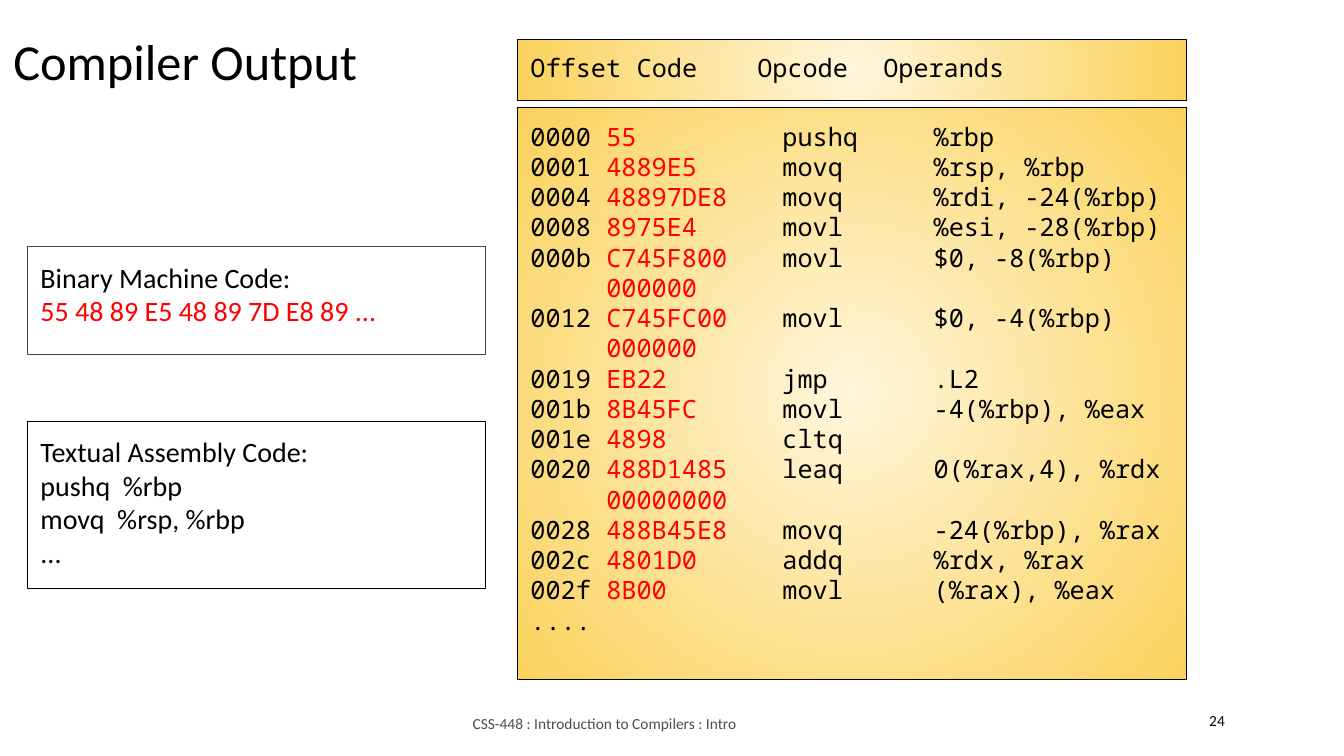
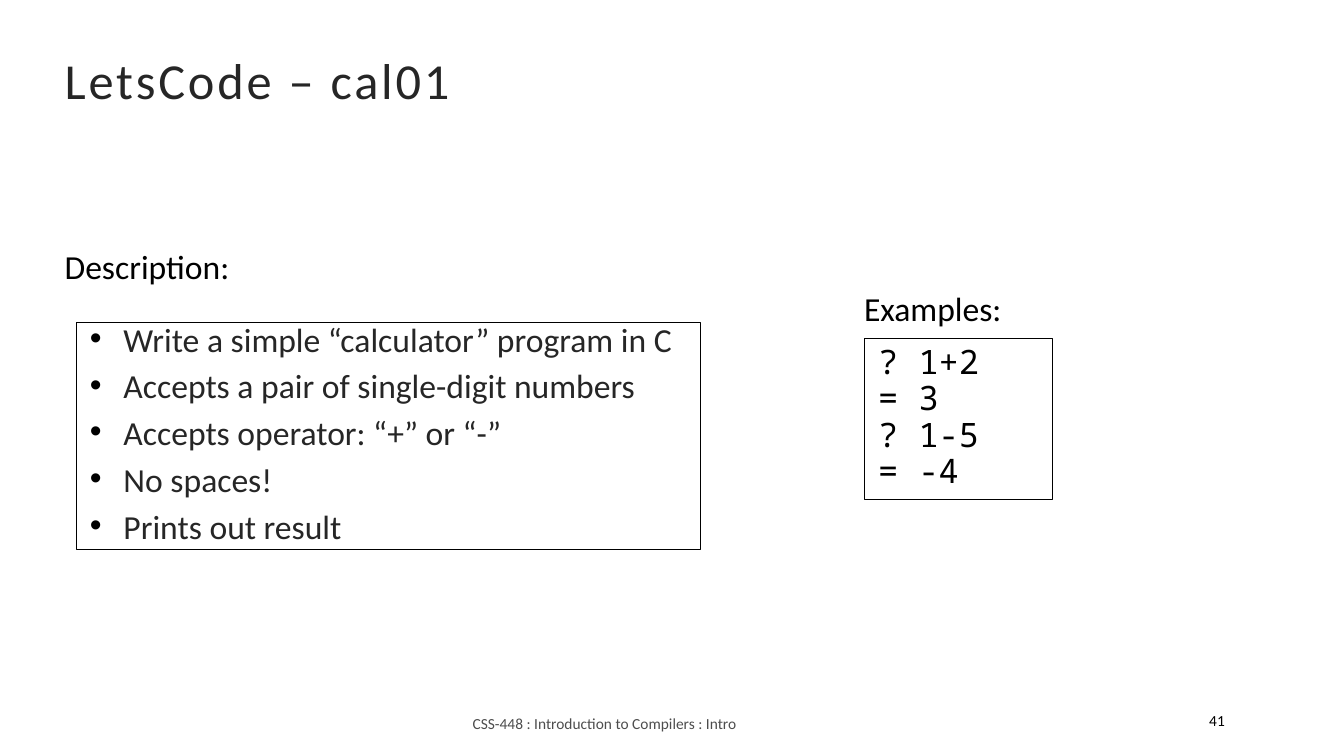
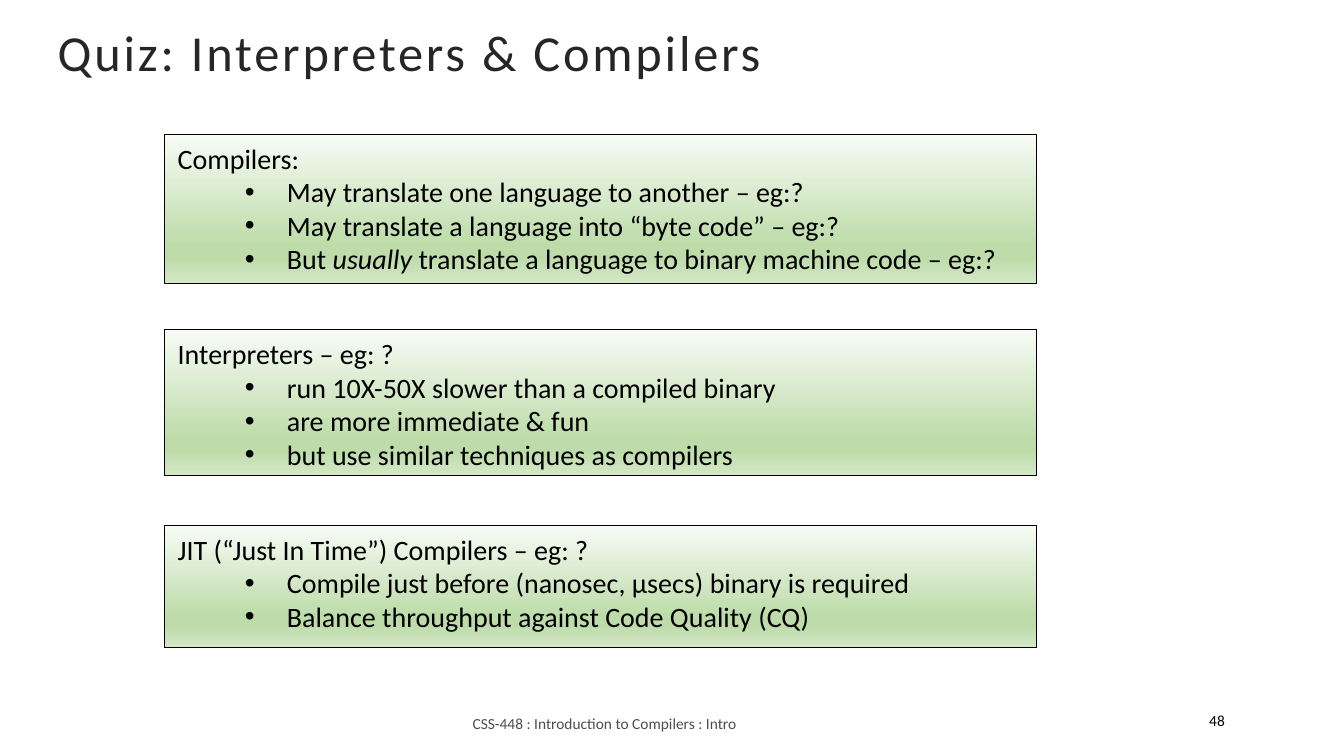
"""Build three slides of a compiler course: compiler output, a coding task and a quiz."""
from pptx import Presentation
from pptx import util as u
from pptx.dml.color import RGBColor
from pptx.enum import shapes, text
from pptx.oxml import parse_xml
from pptx.oxml.ns import nsdecls

Pt = u.Pt
RECT = shapes.MSO_SHAPE.RECTANGLE
C = {"black": "000000", "dark": "262626", "edge": "434343", "footer": "4D4D4D", "red": "FF0000"}
GOLD = ([(0, "FFF6DB"), (100, "FAD25C")],
        '<a:path path="circle"><a:fillToRect l="50000" t="50000" r="50000" b="50000"/></a:path>')
GREEN = ([(0, "F8FBF6"), (74, "BEDCAA"), (83, "BEDCAA"), (100, "D4E8C6")],
         '<a:lin ang="5400000" scaled="0"/>')

BODY = {"name": "Calibri", "size": Pt(20), "color": "black"}
BIG = {**BODY, "size": Pt(24)}
SMALL = {**BODY, "size": Pt(11)}
MONO = {**BODY, "name": "Noto Sans Mono", "size": Pt(18)}
TITLE = {**BODY, "size": Pt(36), "color": "dark"}
RED = {"color": "red"}
TIGHT = {"margin_left": Pt(9.5), "margin_right": Pt(9.5), "margin_top": Pt(5), "margin_bottom": Pt(5)}
ROOMY = {**TIGHT, "margin_top": Pt(9.5), "margin_bottom": Pt(9.5)}


def panel(s, at, line="black", gradient=None):
    """Add an outlined rectangle, plain or with a gradient fill."""
    sp = s.shapes.add_shape(RECT, *map(Pt, at))
    sp.shadow.inherit = False
    sp.line.color.rgb = RGBColor.from_string(C[line])
    sp.line.width = Pt(0.75)
    sp.fill.background()
    if gradient:
        stops, direction = gradient
        gs = "".join(f'<a:gs pos="{pos * 1000}"><a:srgbClr val="{rgb}"/></a:gs>' for pos, rgb in stops)
        none = sp._element.spPr.find("{*}noFill")
        none.addnext(parse_xml(f'<a:gradFill {nsdecls("a")} rotWithShape="1">'
                               f'<a:gsLst>{gs}</a:gsLst>{direction}</a:gradFill>'))
        sp._element.spPr.remove(none)
    return sp


def write(sp, paras, look, frame, para=None, tabs=(), bullet=None, first_bullet=0):
    """Fill a shape with paragraphs, each a string or a list of (words, format) runs."""
    tf = sp.text_frame
    base = {"word_wrap": True, "auto_size": text.MSO_AUTO_SIZE.NONE,
            "vertical_anchor": text.MSO_ANCHOR.TOP}
    for k, v in {**base, **frame}.items():
        setattr(tf, k, v)
    for i, runs in enumerate(paras):
        p = tf.add_paragraph() if i else tf.paragraphs[0]
        for k, v in {"alignment": text.PP_ALIGN.LEFT, **(para or {})}.items():
            setattr(p, k, v)
        for words, change in [(runs, {})] if isinstance(runs, str) else runs:
            r = p.add_run()
            r.text = words
            for k, v in {**look, **change}.items():
                if k == "color":
                    r.font.color.rgb = RGBColor.from_string(C[v])
                else:
                    setattr(r.font, k, v)
        pPr = p._p.get_or_add_pPr()
        if bullet and i >= first_bullet:
            margin, hang = bullet
            pPr.set("marL", str(Pt(margin)))
            pPr.set("indent", str(-Pt(hang)))
            for tag in (f'<a:buClr {nsdecls("a")}><a:srgbClr val="{C["black"]}"/></a:buClr>',
                        f'<a:buFont {nsdecls("a")} typeface="Arial"/>',
                        f'<a:buChar {nsdecls("a")} char="•"/>'):
                pPr.append(parse_xml(tag))
        if tabs:
            stops = "".join(f'<a:tab pos="{Pt(t)}" algn="l"/>' for t in tabs)
            pPr.append(parse_xml(f'<a:tabLst {nsdecls("a")}>{stops}</a:tabLst>'))
    return tf


prs = Presentation()
prs.slide_width, prs.slide_height = Pt(960), Pt(540)

MIDDLE = {"vertical_anchor": text.MSO_ANCHOR.MIDDLE}
pages = [
    ("Compiler Output", (0, 12.24, 347, 116.6), "24", {"color": "black"}, ROOMY, 1.0, 0),
    ("LetsCode – cal01", (36.7, 28.8, 754.6, 61.2), "41", {}, {**TIGHT, **MIDDLE}, 0.9, 200),
    ("Quiz: Interpreters & Compilers", (31.7, 5.76, 763.9, 67), "48", {}, {**TIGHT, **MIDDLE}, 0.9, 200),
]
for title, at, number, change, frame, spacing, tracking in pages:
    s = prs.slides.add_slide(prs.slide_layouts[5])
    sp = s.shapes.title
    sp.left, sp.top, sp.width, sp.height = map(Pt, at)
    tf = write(sp, [title], {**TITLE, **change}, frame, {"line_spacing": spacing})
    tf.paragraphs[0].runs[0].font._element.set("spc", str(tracking))
    footer = s.shapes.add_textbox(Pt(330.5), Pt(504), Pt(298.8), Pt(25.2))
    write(footer, ["CSS-448 : Introduction to Compilers : Intro"], {**SMALL, "color": "footer"}, MIDDLE)
    badge = s.shapes.add_shape(shapes.MSO_SHAPE.OVAL, Pt(847.4), Pt(500.4), Pt(63.4), Pt(28.8))
    badge.shadow.inherit = False
    badge.fill.background()
    badge.line.fill.background()
    write(badge, [number], SMALL, {})
output, task, quiz = prs.slides

listing = [
    ("0000", "55", "pushq", "%rbp"),
    ("0001", "4889E5", "movq", "%rsp, %rbp"),
    ("0004", "48897DE8", "movq", "%rdi, -24(%rbp)"),
    ("0008", "8975E4", "movl", "%esi, -28(%rbp)"),
    ("000b", "C745F800", "movl", "$0, -8(%rbp)"),
    ("", "000000", "", ""),
    ("0012", "C745FC00", "movl", "$0, -4(%rbp)"),
    ("", "000000", "", ""),
    ("0019", "EB22", "jmp", ".L2"),
    ("001b", "8B45FC", "movl", "-4(%rbp), %eax"),
    ("001e", "4898", "cltq", ""),
    ("0020", "488D1485", "leaq", "0(%rax,4), %rdx"),
    ("", "00000000", "", ""),
    ("0028", "488B45E8", "movq", "-24(%rbp), %rax"),
    ("002c", "4801D0", "addq", "%rdx, %rax"),
    ("002f", "8B00", "movl", "(%rax), %eax"),
]
rows = []
for offset, code, opcode, operands in listing:
    row = [(f"{offset}\t", {}), (code, RED)]
    if opcode:
        row.append((f"\t{opcode}" + (f"\t{operands}" if operands else ""), {}))
    rows.append(row)
write(panel(output, (369.4, 77, 478, 408.2), gradient=GOLD), rows + ["...."], MONO, ROOMY,
      tabs=(54.2, 180, 288))
write(panel(output, (369.4, 28, 478, 44), gradient=GOLD), ["Offset\tCode\tOpcode\tOperands"], MONO, ROOMY,
      tabs=(75.9, 162, 252))
write(panel(output, (19.4, 176.4, 327.6, 77), "edge"),
      ["Binary Machine Code:", [("55 48 89 E5 48 89 7D E8 89 ...", RED)]], BODY, ROOMY)
write(panel(output, (19.4, 301, 327.6, 119.5)),
      ["Textual Assembly Code:", "pushq  %rbp", "movq  %rsp, %rbp", "..."], BODY, ROOMY)

goals = ["Write a simple “calculator” program in C", "Accepts a pair of single-digit numbers",
         "Accepts operator: “+” or “-”", "No spaces!", "Prints out result"]
tf = write(panel(task, (54.7, 230.4, 445.7, 162)), goals, {**BIG, "color": "dark"}, TIGHT,
           {"line_spacing": 0.7, "space_before": Pt(13.3)}, bullet=(24, 25))
tf.paragraphs[0].space_before = Pt(0)
write(panel(task, (617.8, 241.9, 134, 115.2)), ["? 1+2", "= 3", "? 1-5", "= -4"],
      {**MONO, "size": Pt(24)}, TIGHT, {"line_spacing": 0.9})
for label, left, top, height in [("Examples:", 607.7, 200.9, 28.8), ("Description:", 36.7, 170.6, 38.9)]:
    write(task.shapes.add_textbox(Pt(left), Pt(top), Pt(285.8), Pt(height)), [label], BIG, TIGHT)

questions = [
    (106.6, ["Compilers:", "May translate one language to another – eg:?",
             "May translate a language into “byte code” – eg:?",
             [("But ", {}), ("usually ", {"italic": True}),
              ("translate a language to binary machine code – eg:?", {})]]),
    (104.4, ["Interpreters – eg: ?", "run 10X-50X slower than a compiled binary",
             "are more immediate & fun", "but use similar techniques as compilers"]),
    (87.1, ["JIT (“Just In Time”) Compilers – eg: ?",
            "Compile just before (nanosec, μsecs) binary is required",
            "Balance throughput against Code Quality (CQ)"]),
]
for i, (height, lines) in enumerate(questions):
    tf = write(panel(quiz, (117.4, 95.8 + 139.7 * i, 622.8, height), gradient=GREEN), lines, BODY, TIGHT,
               bullet=(78, 30), first_bullet=1)
    for p in tf.paragraphs[1:]:
        p.level = 1

prs.save("out.pptx")
